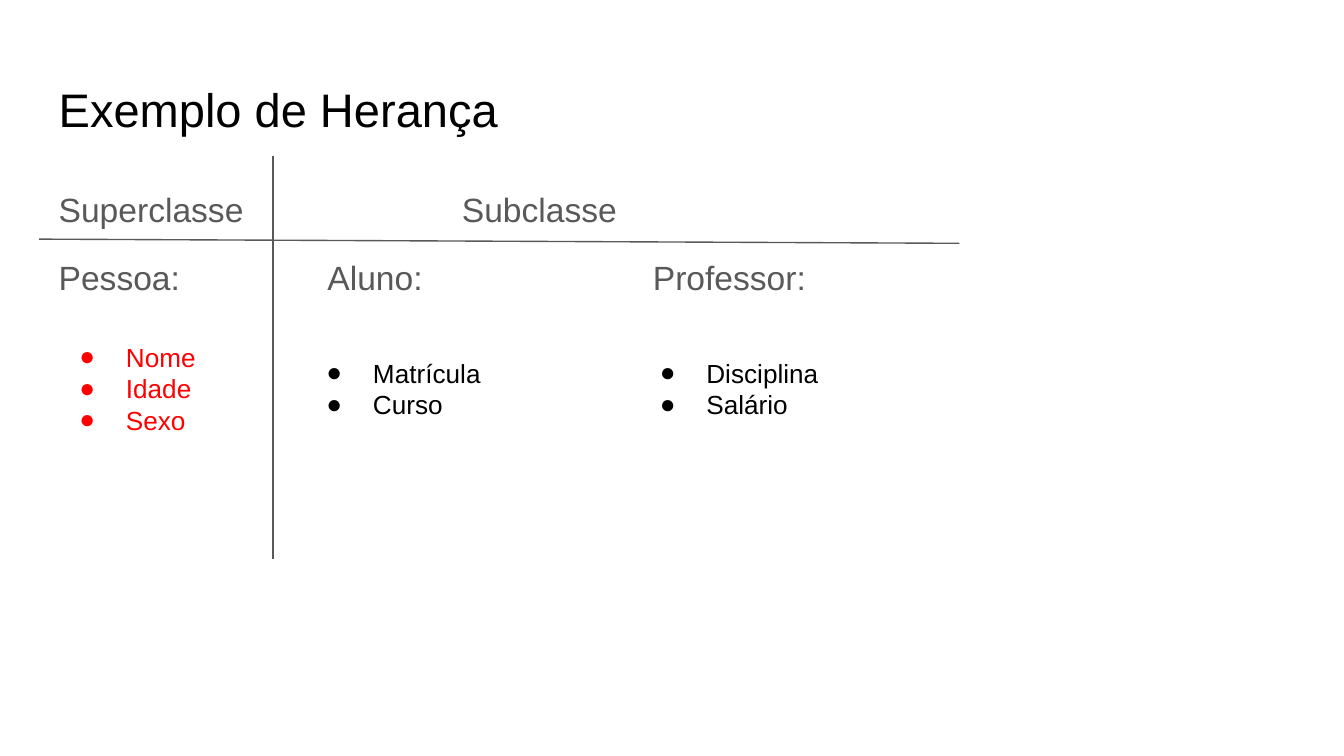
from lxml import etree
from pptx import Presentation
from pptx.dml.color import RGBColor
from pptx.enum.shapes import MSO_CONNECTOR
from pptx.enum.text import MSO_ANCHOR, PP_ALIGN
from pptx.oxml.ns import qn
from pptx.util import Cm, Pt

STRAIGHT = MSO_CONNECTOR.STRAIGHT
TOP = MSO_ANCHOR.TOP
BOTTOM = MSO_ANCHOR.BOTTOM
LEFT = PP_ALIGN.LEFT

FONT = "Arial"
BLACK, GRAY, RED = "000000", "595959", "FF0000"
INSET = Cm(0.25)


def paint(color_format, value):
    color_format.rgb = RGBColor.from_string(value)


def apply(target, values):
    for name, value in values.items():
        setattr(target, name, value)


def add_lines(slide, box, lines, size, color, anchor=TOP, **spacing):
    frame = slide.shapes.add_textbox(*map(Cm, box)).text_frame
    apply(frame, {
        "word_wrap": True, "vertical_anchor": anchor,
        "margin_left": INSET, "margin_right": INSET,
        "margin_top": INSET, "margin_bottom": INSET,
    })
    frame.text = "\n".join(lines)
    for paragraph in frame.paragraphs:
        apply(paragraph, {"alignment": LEFT, **spacing})
        for run in paragraph.runs:
            apply(run.font, {"name": FONT, "size": Pt(size)})
            paint(run.font.color, color)
    return frame.paragraphs


def set_tabs(paragraph, stops):
    tabs = etree.SubElement(paragraph._p.get_or_add_pPr(), qn("a:tabLst"))
    for stop in stops:
        etree.SubElement(tabs, qn("a:tab"), pos=str(Cm(stop)), algn="l")


def add_title(slide, box):
    add_lines(slide, box, ["Exemplo de Herança"], 25.2, BLACK, BOTTOM)


def add_headings(slide, box):
    headings, classes = add_lines(
        slide, box, ["Superclasse\tSubclasse", "Pessoa:\tAluno:\tProfessor:"],
        18, GRAY, line_spacing=1.15)
    apply(classes, {"space_before": Pt(12), "space_after": Pt(12)})
    set_tabs(headings, [7.62])
    set_tabs(classes, [5.08, 11.23])


def add_attributes(slide, box, attributes, color):
    for paragraph in add_lines(slide, box, attributes, 14, color):
        properties = paragraph._p.get_or_add_pPr()
        properties.set("marL", str(Cm(1.27)))
        properties.set("indent", str(Cm(-0.88)))
        bullet_color = etree.SubElement(properties, qn("a:buClr"))
        etree.SubElement(bullet_color, qn("a:srgbClr"), val=color)
        etree.SubElement(properties, qn("a:buFont"), typeface=FONT)
        etree.SubElement(properties, qn("a:buChar"), char="●")


def add_divider(slide, start, end):
    divider = slide.shapes.add_connector(STRAIGHT, *map(Cm, start + end))
    divider.line.width = Pt(0.75)
    paint(divider.line.color, GRAY)
    etree.SubElement(divider._element.spPr, qn("a:effectLst"))


def add_class_diagram(slide, box):
    left, top, width, height = box
    add_headings(slide, box)
    for x, y, attributes, color in (
        (0, 3, ["Nome", "Idade", "Sexo"], RED),
        (10.97, 3.3, ["Disciplina", "Salário"], BLACK),
        (4.67, 3.3, ["Matrícula", "Curso"], BLACK),
    ):
        list_height = 0.5 + 0.6 * len(attributes)
        add_attributes(slide, (left + x, top + y, 5.92, list_height),
                       attributes, color)
    add_divider(slide, (left + 4.3, top - 0.25), (left + 4.3, top + 7.37))
    add_divider(slide, (left - 0.12, top + 1.32), (left + 17.27, top + 1.4))


def main():
    presentation = Presentation()
    apply(presentation, {"slide_width": Cm(25.4), "slide_height": Cm(14.29)})
    slide = presentation.slides.add_slide(presentation.slide_layouts[6])
    add_title(slide, (0.86, 1.24, 23.67, 1.6))
    add_class_diagram(slide, (0.86, 3.2, 23.67, 9.5))
    presentation.save("out.pptx")


if __name__ == "__main__":
    main()
